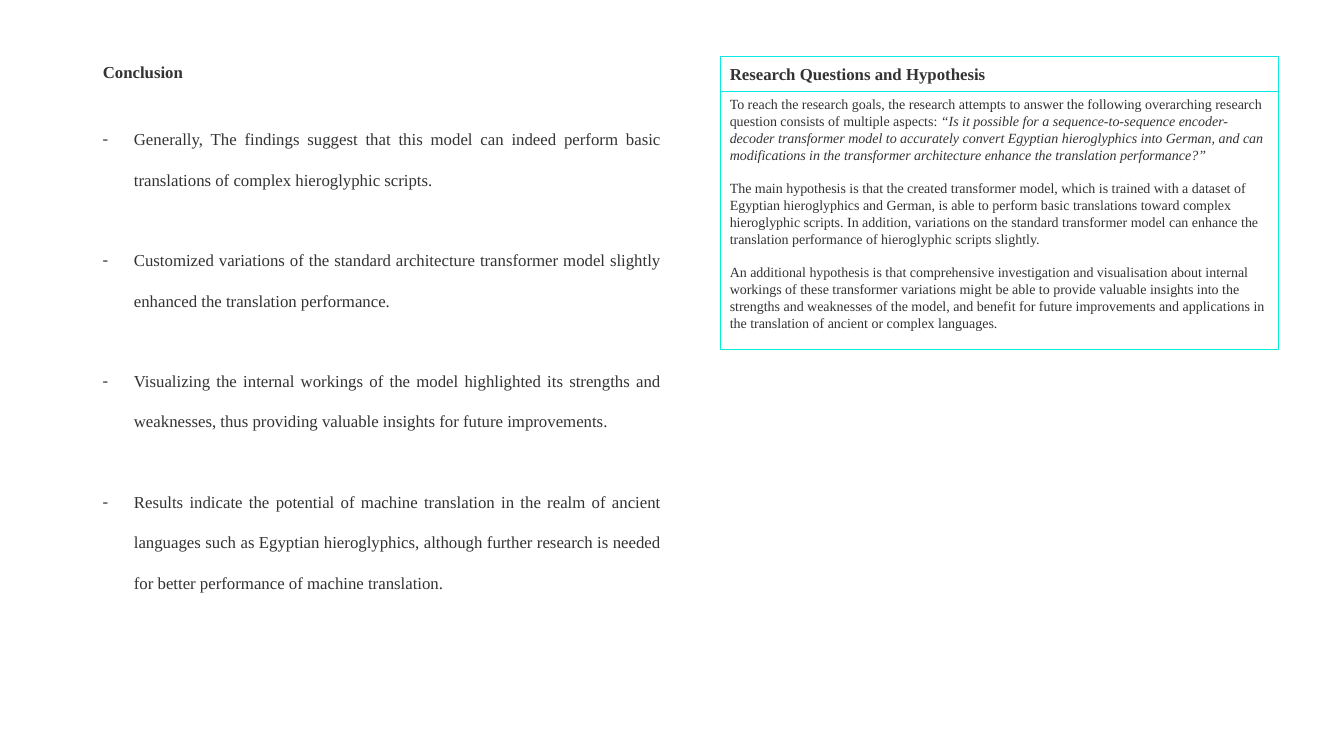
from dataclasses import dataclass

from lxml.etree import SubElement
from pptx import Presentation
from pptx.dml.color import RGBColor
from pptx.enum.shapes import MSO_SHAPE as Preset
from pptx.enum.text import MSO_ANCHOR as Anchor, MSO_AUTO_SIZE as AutoSize, PP_ALIGN as Align
from pptx.oxml.ns import qn
from pptx.util import Inches, Pt

FONT = "Times New Roman"
INK = "333333"
WIDTH, HEIGHT = Inches(13.33), Inches(7.5)
TITLE_ONLY = 5


@dataclass(frozen=True)
class Area:
    """Left, top, width and height in percent of the slide's size."""
    left: float
    top: float
    width: float
    height: float

    def emu(self) -> tuple[int, int, int, int]:
        return (int(WIDTH * self.left / 100), int(HEIGHT * self.top / 100),
                int(WIDTH * self.width / 100), int(HEIGHT * self.height / 100))


@dataclass(frozen=True)
class Span:
    text: str
    bold: bool = False
    italic: bool = False


@dataclass(frozen=True)
class TextStyle:
    size: float
    gap: float = 0
    line_spacing: float = 1
    align: Align = Align.LEFT
    bullet: str = ""


HEADING = TextStyle(size=12)
BODY = TextStyle(size=10, gap=12)
FINDING = TextStyle(size=12, gap=28.8, line_spacing=2, align=Align.JUSTIFY, bullet="-")

TITLE_AREA = Area(6.9, 7.47, 7.5, 4)
FINDINGS_AREA = Area(6.9, 13.73, 43.06, 65.2)
PANEL_AREA = Area(53.56, 7.47, 41.56, 38.67)
HEADER_AREA = Area(53.56, 7.47, 41.56, 4.53)
BODY_AREA = Area(53.56, 12, 41.56, 32.8)

FINDINGS = [
    [Span("Generally, The findings suggest that this model can indeed perform basic "
          "translations of complex hieroglyphic scripts.")],
    [Span("Customized variations of the standard architecture transformer model slightly "
          "enhanced the translation performance. ")],
    [Span("Visualizing the internal workings of the model highlighted its strengths and "
          "weaknesses, thus providing valuable insights for future improvements.")],
    [Span("Results indicate the potential of machine translation in the realm of ancient "
          "languages such as Egyptian hieroglyphics, although further research is needed "
          "for better performance of machine translation.")],
]
QUESTIONS = [
    [Span("To reach the research goals, the research attempts to answer the following "
          "overarching research question consists of multiple aspects: "),
     Span("“Is it possible for a sequence-to-sequence encoder-decoder transformer model to "
          "accurately convert Egyptian hieroglyphics into German, and can modifications in "
          "the transformer architecture enhance the translation performance?”", italic=True)],
    [Span("The main hypothesis is that the created transformer model, which is trained with "
          "a dataset of Egyptian hieroglyphics and German, is able to perform basic "
          "translations toward complex hieroglyphic scripts. In addition, variations on the "
          "standard transformer model can enhance the translation performance of "
          "hieroglyphic scripts slightly.")],
    [Span("An additional hypothesis is that comprehensive investigation and visualisation "
          "about internal workings of these transformer variations might be able to provide "
          "valuable insights into the strengths and weaknesses of the model, and benefit for "
          "future improvements and applications in the translation of ancient or complex "
          "languages.")],
]


def color(value: str) -> RGBColor:
    return RGBColor.from_string(value)


def add_bullet(para, mark: str) -> None:
    """Hang the paragraph behind a bullet mark."""
    props = para._p.get_or_add_pPr()
    indent = Inches(0.31)
    props.set("marL", str(indent))
    props.set("indent", str(-indent))
    SubElement(props, qn("a:buFont")).set("typeface", FONT)
    SubElement(props, qn("a:buChar")).set("char", mark)


def write(frame, paragraphs: list[list[Span]], style: TextStyle) -> None:
    for index, spans in enumerate(paragraphs):
        para = frame.add_paragraph() if index else frame.paragraphs[0]
        para.alignment = style.align
        para.line_spacing = style.line_spacing
        para.space_before = Pt(style.gap if index else 0)
        if style.bullet:
            add_bullet(para, style.bullet)
        for span in spans:
            run = para.add_run()
            run.text = span.text
            font = run.font
            font.name, font.size = FONT, Pt(style.size)
            font.bold, font.italic = span.bold, span.italic
            font.color.rgb = color(INK)


def add_title(slide, area: Area, text: str) -> None:
    title = slide.shapes.title
    title.left, title.top, title.width, title.height = area.emu()
    frame = title.text_frame
    frame.word_wrap = False
    frame.auto_size = AutoSize.SHAPE_TO_FIT_TEXT
    frame.vertical_anchor = Anchor.TOP
    write(frame, [[Span(text, bold=True)]], HEADING)


def add_text(slide, area: Area, paragraphs: list[list[Span]], style: TextStyle) -> None:
    frame = slide.shapes.add_textbox(*area.emu()).text_frame
    frame.word_wrap = True
    frame.auto_size = AutoSize.SHAPE_TO_FIT_TEXT
    write(frame, paragraphs, style)


def add_outline(slide, area: Area, line: str):
    box = slide.shapes.add_shape(Preset.RECTANGLE, *area.emu())
    box.shadow.inherit = False
    box.fill.background()
    box.line.color.rgb = color(line)
    box.line.width = Pt(0.25)
    return box


def main() -> None:
    deck = Presentation()
    deck.slide_width, deck.slide_height = WIDTH, HEIGHT
    slide = deck.slides.add_slide(deck.slide_layouts[TITLE_ONLY])

    add_title(slide, TITLE_AREA, "Conclusion")
    add_outline(slide, PANEL_AREA, "01F0D1")
    header = add_outline(slide, HEADER_AREA, "07EBE3").text_frame
    header.vertical_anchor = Anchor.MIDDLE
    write(header, [[Span("Research Questions and Hypothesis", bold=True)]], HEADING)
    add_text(slide, BODY_AREA, QUESTIONS, BODY)
    add_text(slide, FINDINGS_AREA, FINDINGS, FINDING)

    deck.save("out.pptx")


if __name__ == "__main__":
    main()
